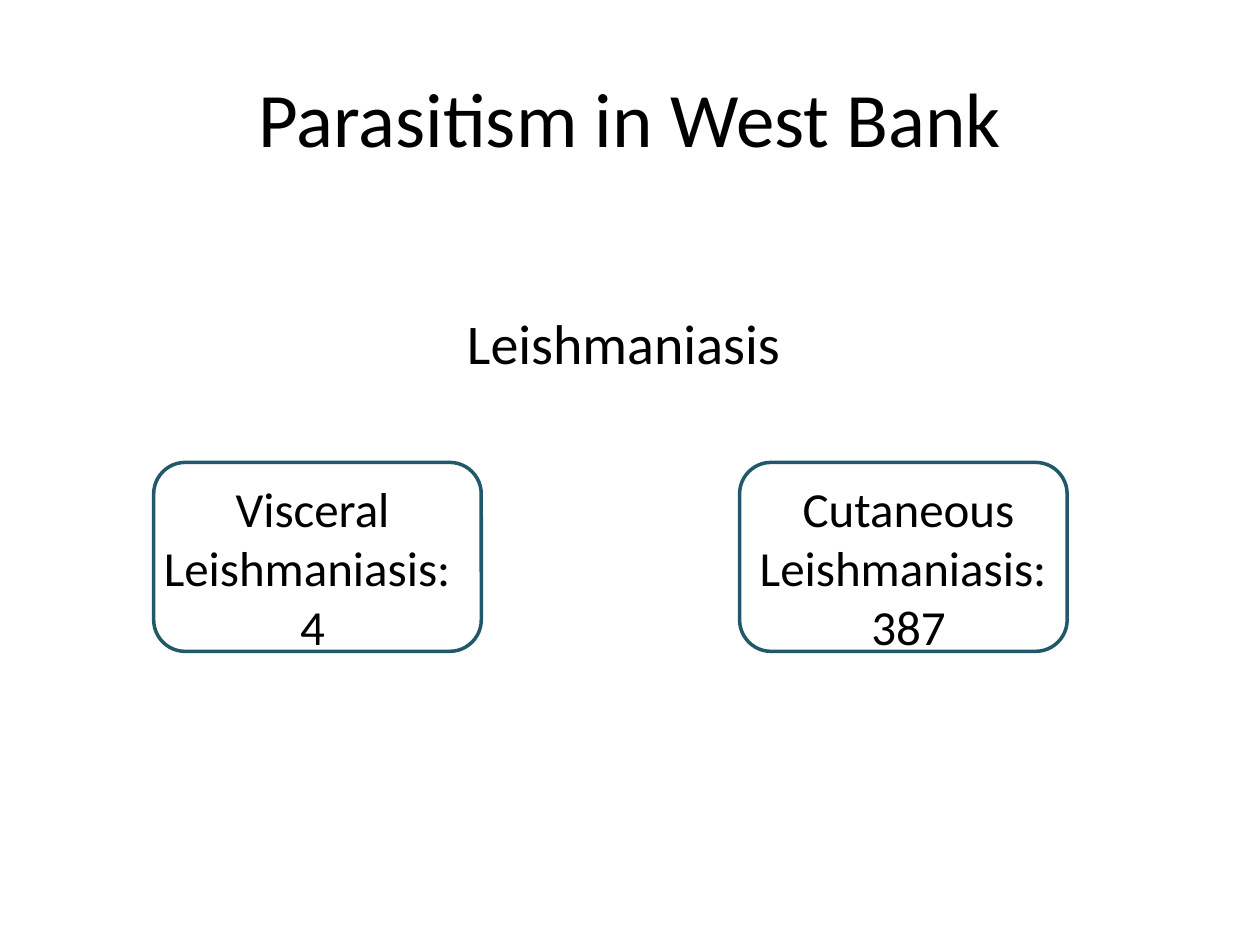
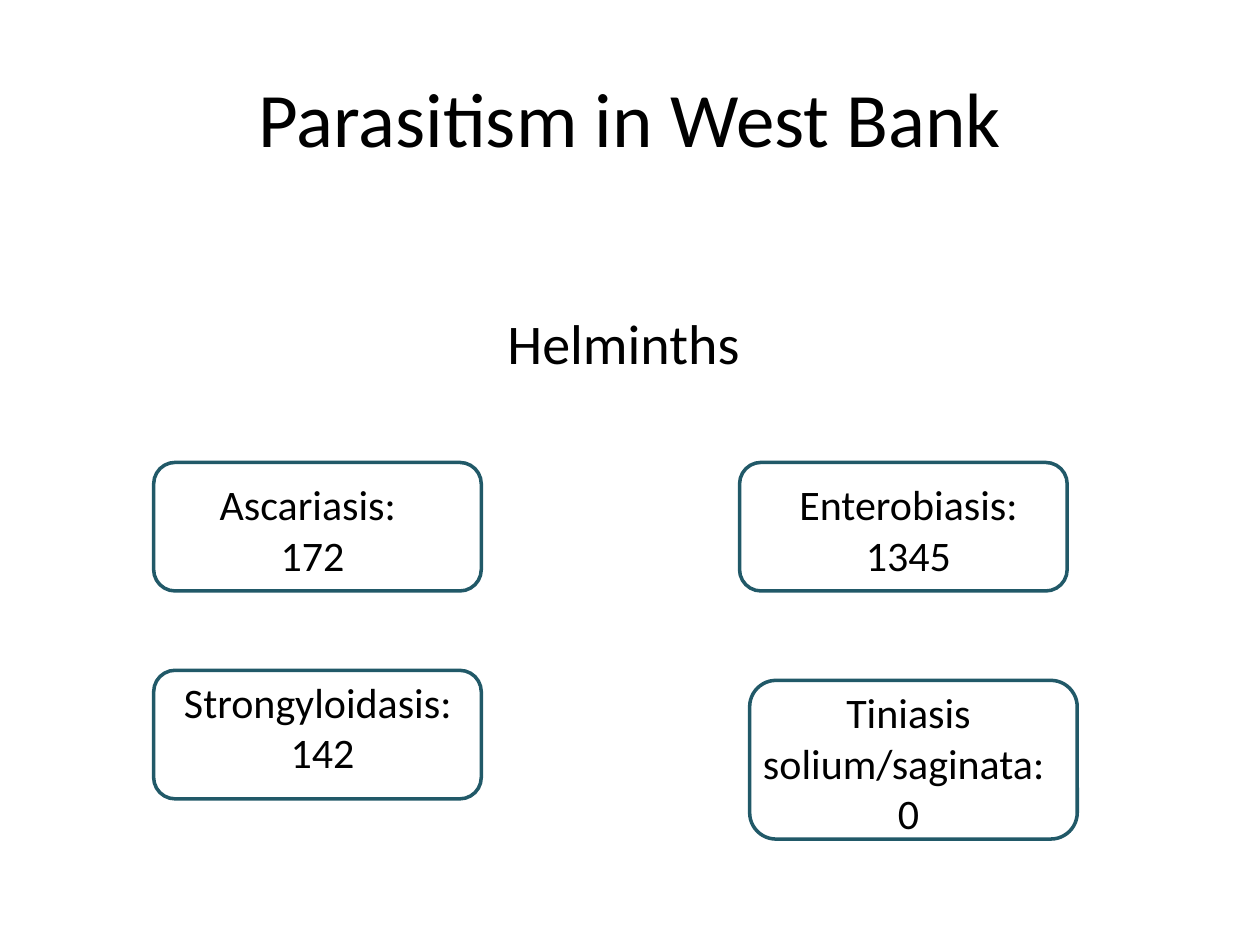
from pptx import Presentation
from pptx.dml.color import RGBColor
from pptx.enum.shapes import MSO_SHAPE as Shape
from pptx.enum.text import MSO_ANCHOR as Anchor, MSO_AUTO_SIZE as AutoSize, PP_ALIGN as Align
from pptx.util import Inches, Pt

# Shared look
FONT, INK, TEAL = "Calibri", "000000", "215968"
TITLE = "Parasitism in West Bank"
MARGIN, FULL_WIDTH = 0.5, 9
CARD_WIDTH, LABEL_WIDTH = 2.6, 2.68
LEFT, RIGHT = 1.22, 5.87    # card columns
UPPER, LOWER = 3.67, 5.32   # card rows
NUDGE = 0.08                # small step between a card and its label


def color(hex_code):
    return RGBColor.from_string(hex_code)


def write(holder, *lines, size, ink=INK, anchor=Anchor.TOP):
    frame = holder.text_frame
    frame.word_wrap = True
    frame.auto_size = AutoSize.NONE
    frame.vertical_anchor = anchor
    frame.text = "\n".join(lines)
    for paragraph in frame.paragraphs:
        paragraph.alignment = Align.CENTER
        font = paragraph.runs[0].font
        font.name, font.size = FONT, Pt(size)
        font.color.rgb = color(ink)


# Each case: disease, count, card (left, top, height), label (left, top, height)
topics = [
    ("Leishmaniasis ", 28, [
        ("Cutaneous Leishmaniasis: ", "387",
         (RIGHT, UPPER, 1.5), (RIGHT, UPPER + NUDGE, 1.51)),
        ("Visceral Leishmaniasis: ", "4",
         (LEFT, UPPER, 1.5), (LEFT - NUDGE, UPPER + NUDGE, 1.51)),
    ]),
    ("Helminths ", 24, [
        ("Enterobiasis:", "1345",
         (RIGHT, UPPER, 1.02), (RIGHT, UPPER + NUDGE, 0.91)),
        ("Ascariasis: ", "172",
         (LEFT, UPPER, 1.02), (LEFT - NUDGE, UPPER + NUDGE, 0.91)),
        ("Strongyloidasis: ", "142",
         (LEFT, LOWER, 1.02), (LEFT, LOWER, 0.91)),
        ("Tiniasis solium/saginata: ", "0",
         (RIGHT + NUDGE, LOWER + NUDGE, 1.26), (RIGHT, LOWER + NUDGE, 1.31)),
    ]),
]

deck = Presentation()
deck.slide_width, deck.slide_height = Inches(10), Inches(7.5)
title_only = deck.slide_layouts[5]

for topic, label_size, cases in topics:
    slide = deck.slides.add_slide(title_only)

    # Title and topic
    title = slide.shapes.title
    title.left, title.top = Inches(MARGIN), Inches(0.3)
    title.width, title.height = Inches(FULL_WIDTH), Inches(1.25)
    write(title, TITLE, size=44, anchor=Anchor.MIDDLE)
    heading = slide.shapes.add_textbox(
        Inches(MARGIN), Inches(2.4), Inches(FULL_WIDTH), Inches(0.65))
    write(heading, topic, size=32)

    # Outlined cards with their case counts
    for disease, count, (left, top, height), label_place in cases:
        card = slide.shapes.add_shape(
            Shape.ROUNDED_RECTANGLE,
            Inches(left), Inches(top), Inches(CARD_WIDTH), Inches(height))
        card.shadow.inherit = False
        card.fill.background()
        card.line.color.rgb = color(TEAL)
        card.line.width = Pt(2)

        left, top, height = label_place
        label = slide.shapes.add_textbox(
            Inches(left), Inches(top), Inches(LABEL_WIDTH), Inches(height))
        write(label, disease, count, size=label_size)

deck.save("out.pptx")
